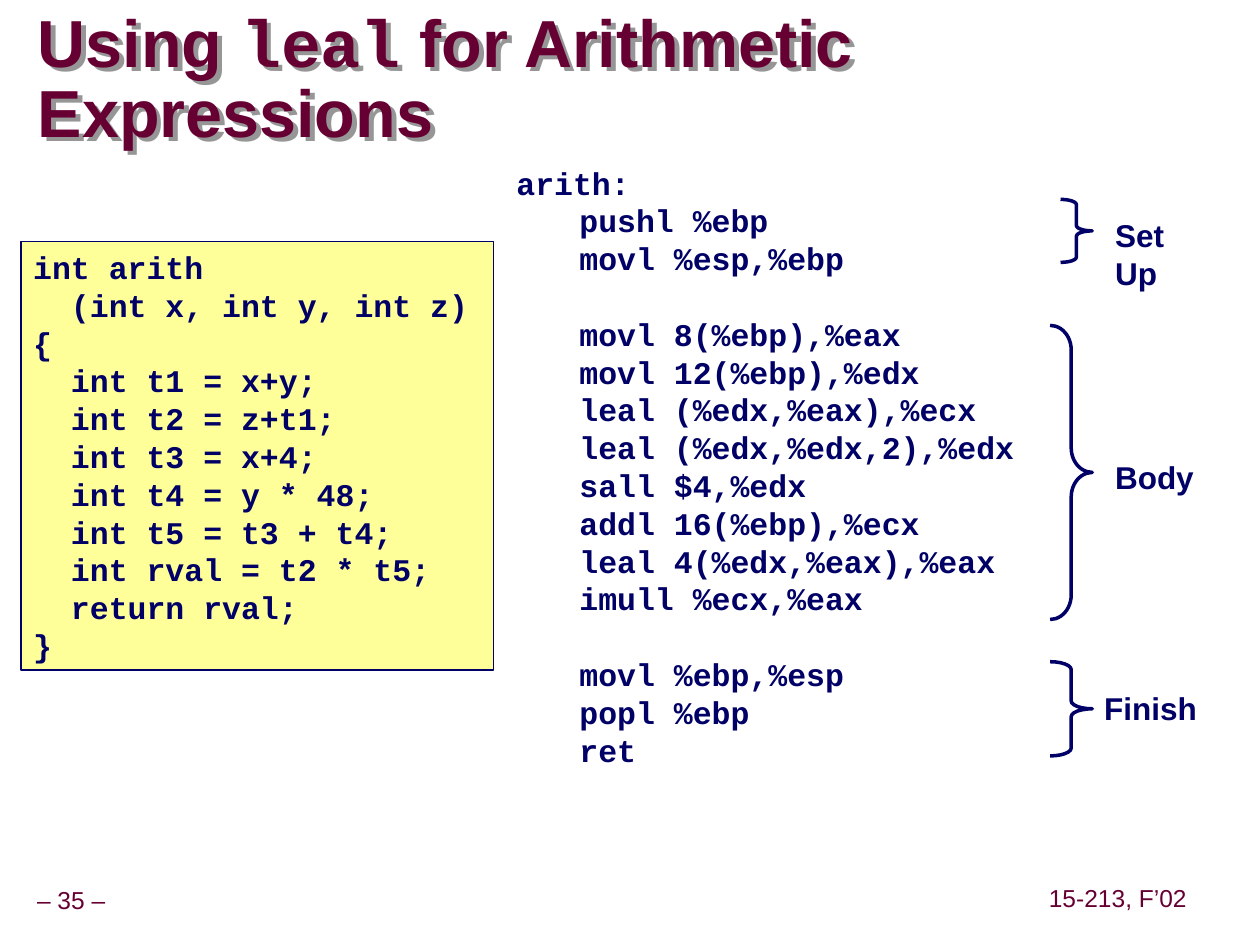
import pptx
import pptx.dml.color
import pptx.enum.shapes
import pptx.enum.text
import pptx.oxml
import pptx.util
from lxml import etree

Cm = pptx.util.Cm
Pt = pptx.util.Pt
ANCHOR = pptx.enum.text.MSO_ANCHOR
ALIGN = pptx.enum.text.PP_ALIGN
SHAPE = pptx.enum.shapes.MSO_SHAPE
A = "http://schemas.openxmlformats.org/drawingml/2006/main"
NAVY, MAROON, YELLOW, GRAY = "000066", "660033", "FFFF99", "969696"
LINE_PITCH = 21.6

SOURCE_CODE = """int arith
  (int x, int y, int z)
{
  int t1 = x+y;
  int t2 = z+t1;
  int t3 = x+4;
  int t4 = y * 48;
  int t5 = t3 + t4;
  int rval = t2 * t5;
  return rval;
}""".split("\n")

ASSEMBLY = [
    ["arith:", "\tpushl %ebp", "\tmovl %esp,%ebp"],
    ["\tmovl 8(%ebp),%eax", "\tmovl 12(%ebp),%edx",
     "\tleal (%edx,%eax),%ecx", "\tleal (%edx,%edx,2),%edx",
     "\tsall $4,%edx", "\taddl 16(%ebp),%ecx",
     "\tleal 4(%edx,%eax),%eax", "\timull %ecx,%eax"],
    ["\tmovl %ebp,%esp", "\tpopl %ebp", "\tret"],
]


def color(hex_value):
    return pptx.dml.color.RGBColor.from_string(hex_value)


def apply(target, values):
    for name, value in values.items():
        setattr(target, name, value)


class SlideWriter:
    code = {"name": "Courier New", "size": Pt(18), "bold": True}
    label = {"name": "Arial", "size": Pt(18), "bold": True}
    heading = {"name": "Arial", "size": Pt(38), "bold": True}
    footer = {"name": "Arial", "size": Pt(14), "bold": False}

    def __init__(self, slide):
        self.slide = slide

    def style(self, font, values, ink):
        apply(font, values)
        font.color.rgb = color(ink)

    def frame(self, shape, inset_x, inset_y, **values):
        apply(shape.text_frame, {
            "margin_left": Cm(inset_x), "margin_right": Cm(inset_x),
            "margin_top": Cm(inset_y), "margin_bottom": Cm(inset_y),
            "word_wrap": True, "vertical_anchor": ANCHOR.TOP, **values})
        return shape.text_frame

    def box(self, left, top, width, height):
        return self.slide.shapes.add_textbox(
            Cm(left), Cm(top), Cm(width), Cm(height))

    def lines(self, frame, groups, values):
        rows = [(line, index > 0 and position == 0)
                for index, group in enumerate(groups)
                for position, line in enumerate(group)]
        for number, (line, opens_group) in enumerate(rows):
            paragraph = frame.add_paragraph() if number else frame.paragraphs[0]
            apply(paragraph, {"alignment": ALIGN.LEFT,
                              "line_spacing": Pt(LINE_PITCH),
                              "space_before": Pt(LINE_PITCH * opens_group)})
            if line.startswith("\t"):
                tabs = etree.SubElement(
                    paragraph._p.get_or_add_pPr(), f"{{{A}}}tabLst")
                etree.SubElement(tabs, f"{{{A}}}tab",
                                 pos=str(Cm(1.27)), algn="l")
            run = paragraph.add_run()
            run.text = line
            self.style(run.font, values, NAVY)

    def title(self, parts, *place):
        box = self.box(*place)
        frame = self.frame(box, 0, 0, vertical_anchor=ANCHOR.MIDDLE)
        frame.paragraphs[0].line_spacing = Pt(40)
        for text, face in parts:
            run = frame.paragraphs[0].add_run()
            run.text = text
            self.style(run.font, {**self.heading, "name": face}, MAROON)
        box._element.spPr.append(pptx.oxml.parse_xml(
            f'<a:effectLst xmlns:a="{A}"><a:outerShdw dist="50800" '
            f'dir="2700000" algn="ctr" rotWithShape="0">'
            f'<a:srgbClr val="{GRAY}"/></a:outerShdw></a:effectLst>'))

    def code_panel(self, source, *place):
        panel = self.slide.shapes.add_shape(
            SHAPE.RECTANGLE, *[Cm(value) for value in place])
        panel.shadow.inherit = False
        panel.fill.solid()
        panel.fill.fore_color.rgb = color(YELLOW)
        panel.line.color.rgb = color(NAVY)
        panel.line.width = Pt(1)
        self.lines(self.frame(panel, 0.25, 0.13), [source], self.code)

    def listing(self, groups, *place):
        self.lines(self.frame(self.box(*place), 0.25, 0.13), groups, self.code)

    def brace(self, left, top, width, height):
        brace = self.slide.shapes.add_shape(
            SHAPE.RIGHT_BRACE, Cm(left), Cm(top), Cm(width), Cm(height))
        brace.shadow.inherit = False
        brace.fill.background()
        brace.line.color.rgb = color(NAVY)
        brace.line.width = Pt(2)
        brace.adjustments[0] = height / 12 / min(width, height)

    def caption(self, text, *place):
        frame = self.frame(self.box(*place), 0.25, 0.13)
        self.lines(frame, [text.split()], self.label)

    def footnote(self, text, *place):
        frame = self.frame(self.box(*place), 0.13, 0.13, word_wrap=False,
                           vertical_anchor=ANCHOR.MIDDLE)
        apply(frame.paragraphs[0], {"alignment": ALIGN.CENTER,
                                    "line_spacing": 0.9})
        run = frame.paragraphs[0].add_run()
        run.text = text
        self.style(run.font, self.footer, MAROON)


def main():
    deck = pptx.Presentation()
    apply(deck, {"slide_width": Cm(25.4), "slide_height": Cm(19.05)})
    writer = SlideWriter(deck.slides.add_slide(deck.slide_layouts[6]))
    writer.footnote("– 35 –", -0.23, 17.78, 3.33, 0.79)
    writer.footnote("15-213, F’02", 21.01, 17.75, 3.05, 0.79)
    writer.title([("Using ", "Arial"), ("leal", "Courier New"),
                  (" for Arithmetic Expressions", "Arial")],
                 0.76, 0.82, 24.64, 1.6)
    writer.code_panel(SOURCE_CODE, 0.42, 4.87, 9.53, 8.64)
    writer.listing(ASSEMBLY, 10.16, 3.17, 11.43, 12.45)
    phases = [
        ("Set Up", (21.38, 4.02, 0.64, 1.27), (22.23, 4.23, 1.6, 1.78)),
        ("Body", (21.17, 6.56, 0.85, 5.93), (22.23, 9.1, 2.3, 1.02)),
        ("Finish", (21.17, 13.34, 0.85, 1.9), (22.01, 13.76, 2.6, 1.02)),
    ]
    for phase, brace_place, caption_place in phases:
        writer.brace(*brace_place)
        writer.caption(phase, *caption_place)
    deck.save("out.pptx")


if __name__ == "__main__":
    main()
